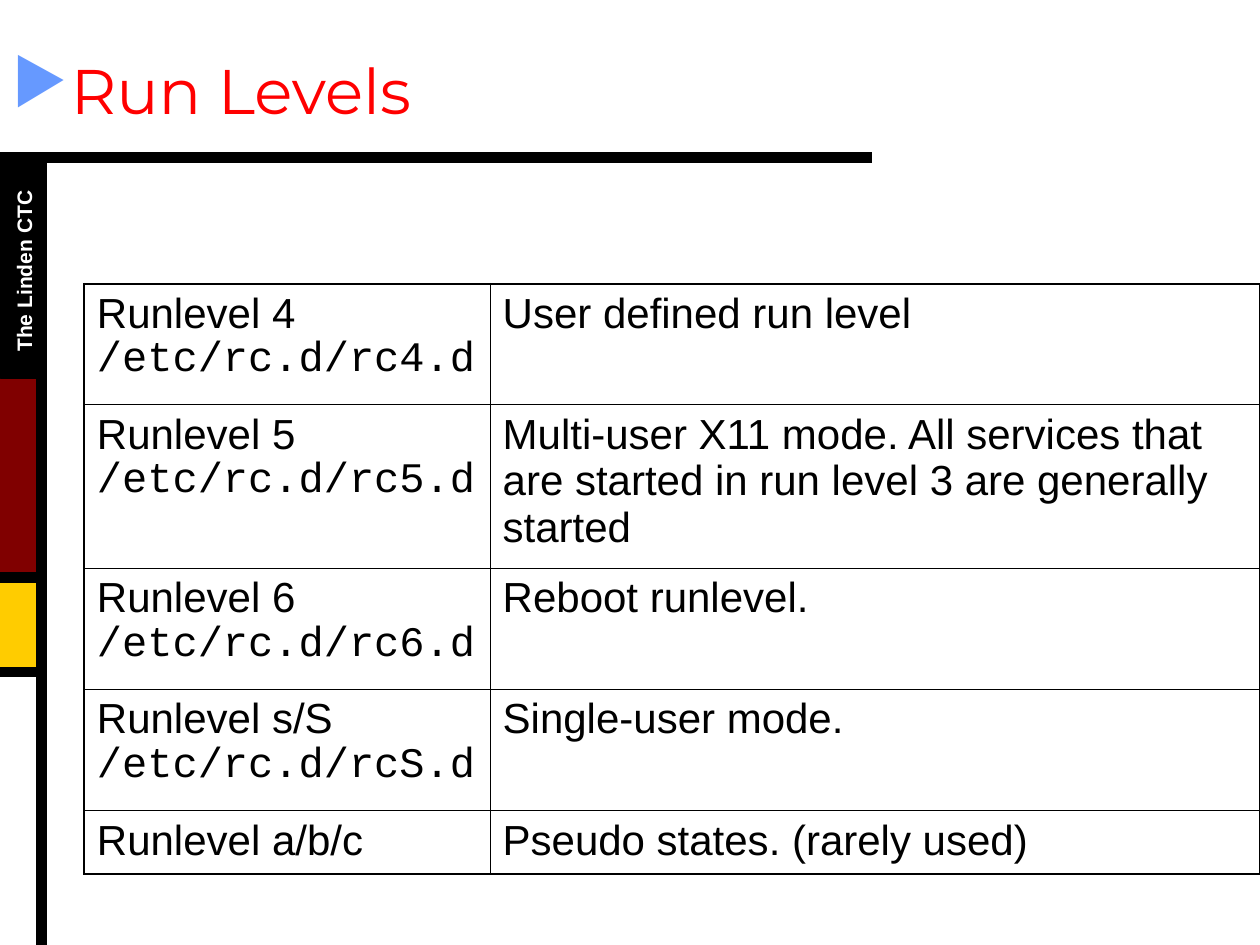
from lxml.etree import SubElement
from pptx import Presentation
from pptx.dml.color import RGBColor
from pptx.enum.shapes import MSO_CONNECTOR, MSO_SHAPE
from pptx.enum.text import MSO_ANCHOR
from pptx.oxml import parse_xml
from pptx.oxml.ns import nsdecls, qn
from pptx.util import Cm, Pt

COLORS = {"black": "000000", "white": "FFFFFF", "maroon": "800000",
          "yellow": "FFCC00", "red": "FF0000", "blue": "6699FF"}
RUN_LEVELS = [
    ("Runlevel 4 ", "/etc/rc.d/rc4.d", "User defined run level"),
    ("Runlevel 5 ", "/etc/rc.d/rc5.d", "Multi-user X11 mode. All services that "
     "are started in run level 3 are generally started"),
    ("Runlevel 6 ", "/etc/rc.d/rc6.d", "Reboot runlevel."),
    ("Runlevel s/S ", "/etc/rc.d/rcS.d", "Single-user mode."),
    ("Runlevel a/b/c", "", "Pseudo states. (rarely used)"),
]
COL_WIDTHS = [8.18, 15.52]
ROW_HEIGHTS = [2.44, 3.3, 2.44, 2.44, 1.27]
OUTER, INNER = 1.08, 0.45


def rgb(name):
    return RGBColor.from_string(COLORS[name])


class SlideBuilder:
    body_font, code_font, title_font = "Arial", "Courier New", "Montserrat"

    def __init__(self, slide):
        self.slide = slide

    def style(self, r, font, size, color, bold=False):
        r.font.name, r.font.size, r.font.bold = font, Pt(size), bold
        r.font.color.rgb = rgb(color)

    def block(self, x, y, w, h, color):
        sp = self.slide.shapes.add_shape(
            MSO_SHAPE.RECTANGLE, Cm(x), Cm(y), Cm(w), Cm(h))
        sp.shadow.inherit = False
        sp.fill.solid()
        sp.fill.fore_color.rgb = sp.line.color.rgb = rgb(color)
        sp.line.width = Pt(0.25)

    def rule(self, x1, y1, x2, y2):
        line = self.slide.shapes.add_connector(
            MSO_CONNECTOR.STRAIGHT, Cm(x1), Cm(y1), Cm(x2), Cm(y2))
        line.line.color.rgb = rgb("black")
        line.line.width = Pt(6)
        SubElement(line._element.spPr, qn("a:effectLst"))

    def text(self, x, y, w, h, text, font, size, color, bold=False, wrap=True):
        sp = self.slide.shapes.add_textbox(Cm(x), Cm(y), Cm(w), Cm(h))
        tf = sp.text_frame
        tf.word_wrap = wrap
        tf.text = text
        self.style(tf.paragraphs[0].runs[0], font, size, color, bold)
        return sp

    def title(self, x, y, w, h, text):
        tf = self.text(x, y, w, h, text, self.title_font, 36, "red").text_frame
        tf.vertical_anchor = MSO_ANCHOR.MIDDLE
        # Triangle bullet with a hanging indent
        pPr = tf.paragraphs[0]._p.get_or_add_pPr()
        pPr.set("marL", str(Cm(1.08)))
        pPr.set("indent", str(-Cm(1.08)))
        clr = SubElement(pPr, qn("a:buClr"))
        SubElement(clr, qn("a:srgbClr"), val=COLORS["blue"])
        SubElement(pPr, qn("a:buChar"), char="▶")

    def borders(self, cell, widths):
        tcPr = cell._tc.get_or_add_tcPr()
        for i, (side, width) in enumerate(zip("LRTB", widths)):
            tcPr.insert(i, parse_xml(
                f'<a:ln{side} {nsdecls("a")} w="{Pt(width)}"><a:solidFill>'
                f'<a:srgbClr val="{COLORS["black"]}"/></a:solidFill></a:ln{side}>'))

    def cell(self, cell, parts):
        cell.fill.background()
        p = cell.text_frame.paragraphs[0]
        p.space_before = Pt(12)
        for text, font in parts:
            if text:
                r = p.add_run()
                r.text = text
                self.style(r, font, 24, "black")

    def table(self, x, y, rows):
        tbl = self.slide.shapes.add_table(
            len(rows), len(COL_WIDTHS), Cm(x), Cm(y),
            Cm(sum(COL_WIDTHS)), Cm(sum(ROW_HEIGHTS))).table
        tbl.first_row = tbl.horz_banding = False
        for col, width in zip(tbl.columns, COL_WIDTHS):
            col.width = Cm(width)
        last = len(rows) - 1
        for i, (level, folder, meaning) in enumerate(rows):
            tbl.rows[i].height = Cm(ROW_HEIGHTS[i])
            top = OUTER if i == 0 else INNER
            bottom = OUTER if i == last else INNER
            self.cell(tbl.cell(i, 0), [(level, self.body_font), (folder, self.code_font)])
            self.cell(tbl.cell(i, 1), [(meaning, self.body_font)])
            self.borders(tbl.cell(i, 0), (OUTER, INNER, top, bottom))
            self.borders(tbl.cell(i, 1), (INNER, OUTER, top, bottom))


def main():
    prs = Presentation()
    prs.slide_width, prs.slide_height = Cm(25.4), Cm(19.05)
    s = SlideBuilder(prs.slides.add_slide(prs.slide_layouts[6]))

    # Side band and rules
    band = 0.84
    s.block(0, 7.62, band, 4.02, "maroon")
    s.block(0, 11.64, band, 1.91, "yellow")
    s.rule(0, 3.18, 17.57, 3.18)
    s.rule(band, 3.18, band, 19.05)
    s.block(0, 3.18, band, 4.44, "black")
    label = s.text(-1.4, 5.08, 3.76, 0.76, "The Linden CTC",
                   s.body_font, 12, "white", bold=True, wrap=False)
    label.rotation = 270
    for y in (11.64, 13.55):
        s.rule(0, y, band, y)

    # Title and table
    s.title(0, 0.85, 25.4, 1.9, "Run Levels")
    s.table(1.7, 5.72, RUN_LEVELS)

    prs.save("out.pptx")


if __name__ == "__main__":
    main()
